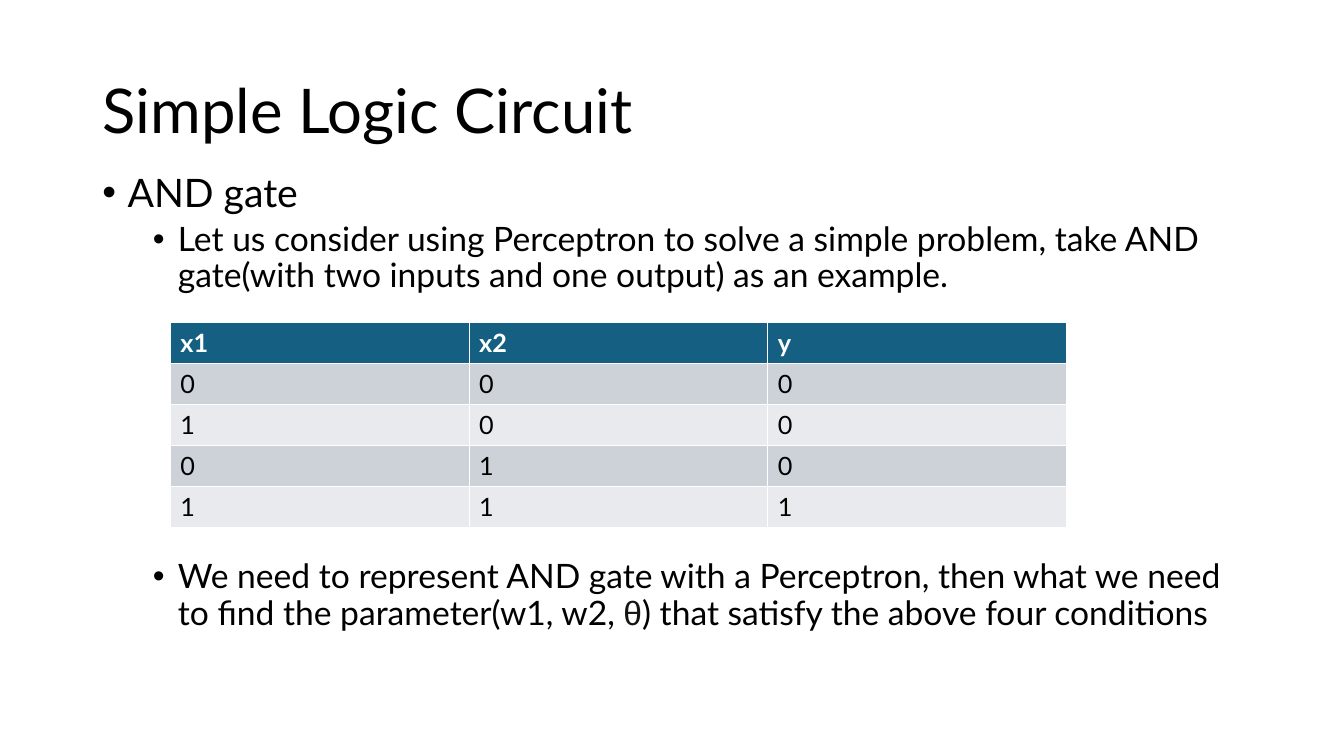
"""Build the slide that introduces the AND gate as a perceptron problem."""
import dataclasses

import lxml.etree
import pptx
import pptx.dml.color
import pptx.enum.text
import pptx.oxml.ns
import pptx.util


@dataclasses.dataclass(frozen=True)
class Theme:
    font: str = "Lato"
    symbol_font: str = "Arial"
    ink: str = "000000"
    symbol_ink: str = "141413"
    header_ink: str = "FFFFFF"
    header_fill: str = "156082"
    bands: tuple = ("CCD2D8", "E8EAED")
    title_size: int = 44
    topic_size: int = 28
    detail_size: int = 24
    table_size: int = 18
    line_spacing: float = 0.9


theme = Theme()
deck = pptx.Presentation()
deck.slide_width = pptx.util.Inches(13.33)
deck.slide_height = pptx.util.Inches(7.5)
page = deck.slides.add_slide(deck.slide_layouts[5])


def area(left, top, width, height):
    """Turn percentages of the slide into lengths."""
    sides = (deck.slide_width, deck.slide_height) * 2
    return [int(side * share / 100) for side, share in zip(sides, (left, top, width, height))]


def style(span, size, color=theme.ink, name=theme.font, bold=False):
    """Set the look of one run."""
    span.font.size = pptx.util.Pt(size)
    span.font.name = name
    span.font.bold = bold
    span.font.color.rgb = pptx.dml.color.RGBColor.from_string(color)


title = page.shapes.title
title.left, title.top, title.width, title.height = area(6.88, 5.33, 86.25, 19.33)
title.text_frame.text = "Simple Logic Circuit"
title.text_frame.vertical_anchor = pptx.enum.text.MSO_ANCHOR.MIDDLE
title.text_frame.auto_size = pptx.enum.text.MSO_AUTO_SIZE.NONE
heading = title.text_frame.paragraphs[0]
heading.alignment = pptx.enum.text.PP_ALIGN.LEFT
heading.line_spacing = theme.line_spacing
style(heading.runs[0], theme.title_size)

bullets = [
    (0, 10, theme.topic_size, ["AND gate"]),
    (1, 5, theme.detail_size, [
        "Let us consider using Perceptron to solve a simple problem, "
        "take AND gate(with two inputs and one output) as an example."]),
    (1, 189, theme.detail_size, [
        "We need to represent AND gate with a Perceptron, then what we need "
        "to find the parameter(w1, w2, ", "θ", ") that satisfy the above four conditions"]),
]
box = page.shapes.add_textbox(*area(6.88, 22.27, 86.25, 67.87))
box.text_frame.word_wrap = True
for index, (level, gap, size, pieces) in enumerate(bullets):
    para = box.text_frame.add_paragraph() if index else box.text_frame.paragraphs[0]
    para.level = level
    para.line_spacing = theme.line_spacing
    para.space_before = pptx.util.Pt(gap)
    props = para._p.get_or_add_pPr()
    props.set("marL", str(pptx.util.Inches(0.25 + 0.5 * level)))
    props.set("indent", str(pptx.util.Inches(-0.25)))
    lxml.etree.SubElement(props, pptx.oxml.ns.qn("a:buFont"), typeface=theme.symbol_font)
    lxml.etree.SubElement(props, pptx.oxml.ns.qn("a:buChar"), char="•")
    for piece in pieces:
        span = para.add_run()
        span.text = piece
        if piece == "θ":
            style(span, size, theme.symbol_ink, theme.symbol_font)
        else:
            style(span, size)

truth_rows = [("x1", "x2", "y"), (0, 0, 0), (1, 0, 0), (0, 1, 0), (1, 1, 1)]
truth_table = page.shapes.add_table(
    len(truth_rows), len(truth_rows[0]), *area(12.68, 42.67, 66.69, 27.07)).table
for row, values in enumerate(truth_rows):
    is_header = row == 0
    fill = theme.header_fill if is_header else theme.bands[(row - 1) % 2]
    ink = theme.header_ink if is_header else theme.ink
    for column, value in enumerate(values):
        cell = truth_table.cell(row, column)
        cell.fill.solid()
        cell.fill.fore_color.rgb = pptx.dml.color.RGBColor.from_string(fill)
        cell.text_frame.text = str(value)
        style(cell.text_frame.paragraphs[0].runs[0], theme.table_size, ink, bold=is_header)

deck.save("out.pptx")
